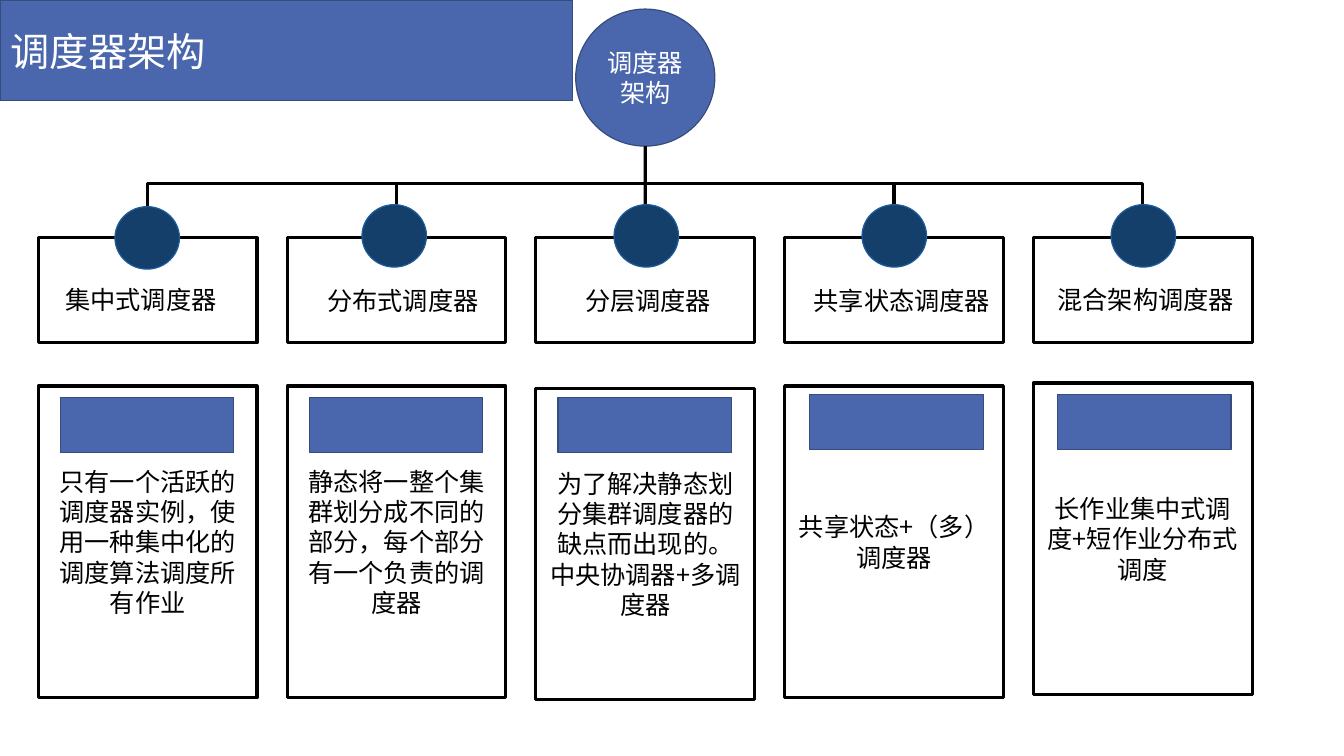
from lxml.etree import SubElement
from pptx import Presentation
from pptx.dml.color import RGBColor
from pptx.enum.shapes import MSO_CONNECTOR as Link, MSO_SHAPE as Shape
from pptx.enum.text import MSO_ANCHOR as Anchor, MSO_AUTO_SIZE as AutoSize, PP_ALIGN as Align
from pptx.oxml.ns import qn
from pptx.util import Inches, Pt

# Content: heading, its left inset, top and width; description; card top; band inset and top
TITLE = "调度器架构"
SCHEDULERS = [
    (("集中式调度器", 0.17, 2.77, 1.83),
     "只有一个活跃的调度器实例，使用一种集中化的调度算法调度所有作业", 3.83, (0.22, 3.94)),
    (("分布式调度器", 0.3, 2.78, 1.75),
     "静态将一整个集群划分成不同的部分，每个部分有一个负责的调度器", 3.83, (0.22, 3.94)),
    (("分层调度器", 0.39, 2.78, 1.57),
     "为了解决静态划分集群调度器的缺点而出现的。中央协调器+多调度器", 3.85, (0.22, 3.94)),
    (("共享状态调度器", 0.19, 2.78, 2.26),
     "共享状态+（多）调度器", 3.83, (0.25, 3.91)),
    (("混合架构调度器", 0.14, 2.77, 2.26),
     "长作业集中式调度+短作业分布式调度", 3.8, (0.24, 3.91)),
]
KNOBS = [(1.14, 2.05), (3.59, 2.03), (6.09, 2.03), (8.55, 2.03), (11.02, 2.03)]
COLORS = {"blue": "4A66AC", "blue_edge": "374B7F", "navy": "143F6A",
          "navy_edge": "1E5E9E", "black": "000000", "white": "FFFFFF"}
CJK, LATIN = "Noto Sans CJK SC", "Calibri"

# Grid, in inches
LEFT, PITCH, CARD_W = 0.38, 2.4675, 2.17
HEAD_TOP, HEAD_H, CARD_H = 2.36, 1.04, 3.09
ROOT_TOP, ROOT_W, ROOT_H = 0.09, 1.38, 1.36
ROOT_BOTTOM, BUS_Y = ROOT_TOP + ROOT_H, 1.82
lefts = [LEFT + column * PITCH for column in range(len(SCHEDULERS))]
centers = [left + CARD_W / 2 for left in lefts]
middle = len(SCHEDULERS) // 2
root_x = centers[middle]


def color(name):
    return RGBColor.from_string(COLORS[name])


def paint(shape, fill, edge, width):
    shape.fill.solid()
    shape.fill.fore_color.rgb = color(fill)
    shape.line.color.rgb = color(edge)
    shape.line.width = Pt(width)
    shape.shadow.inherit = False


def draw(kind, left, top, width, height, fill="white", edge="black", line=2.25):
    shape = slide.shapes.add_shape(kind, *map(Inches, (left, top, width, height)))
    paint(shape, fill, edge, line)
    return shape


def write(shape, text, size=18, font=CJK, ink="black", align=Align.CENTER):
    frame = shape.text_frame
    frame.word_wrap = True
    frame.text = text
    paragraph = frame.paragraphs[0]
    paragraph.alignment = align
    paragraph.font.size = Pt(size)
    paragraph.font.name = font
    paragraph.font.color.rgb = color(ink)
    if font == CJK:
        run_style = paragraph.runs[0].font
        run_style.name = font
        SubElement(run_style._element, qn("a:ea"), typeface=font)


def connect(kind, *ends):
    link = slide.shapes.add_connector(kind, *map(Inches, ends))
    link.line.color.rgb = color("black")
    link.line.width = Pt(2.25)
    SubElement(link._element.spPr, qn("a:effectLst"))
    return link


def branch(target_x):
    """Elbow from the root down to a heading, turned a quarter so it leaves vertically."""
    drop, shift = HEAD_TOP - ROOT_BOTTOM, target_x - root_x
    mid_x, mid_y = (root_x + target_x) / 2, (ROOT_BOTTOM + HEAD_TOP) / 2
    link = connect(Link.ELBOW, mid_x - drop / 2, mid_y + shift / 2,
                   mid_x + drop / 2, mid_y - shift / 2)
    properties = link._element.spPr
    properties.find(qn("a:xfrm")).set("rot", str(90 * 60000))
    bend = round((BUS_Y - ROOT_BOTTOM) / drop * 100000)
    adjustments = properties.find(qn("a:prstGeom")).find(qn("a:avLst"))
    SubElement(adjustments, qn("a:gd"), name="adj1", fmla=f"val {bend}")


presentation = Presentation()
presentation.slide_width, presentation.slide_height = Inches(13.33), Inches(7.5)
slide = presentation.slides.add_slide(presentation.slide_layouts[5])

# Title bar
title = slide.shapes.title
title.left, title.top, title.width, title.height = map(Inches, (0, 0, 5.68, 1))
paint(title, "blue", "blue_edge", 0.85)
write(title, TITLE, 28, LATIN, "white", Align.LEFT)
title.text_frame.vertical_anchor = Anchor.MIDDLE

# Root and heading boxes
root = draw(Shape.OVAL, root_x - ROOT_W / 2, ROOT_TOP, ROOT_W, ROOT_H, "blue", "blue_edge", 0.85)
write(root, TITLE, font=LATIN, ink="white")
headings = [draw(Shape.RECTANGLE, left, HEAD_TOP, CARD_W, HEAD_H) for left in lefts]

# Tree lines
trunk = connect(Link.STRAIGHT, root_x, ROOT_BOTTOM, root_x, HEAD_TOP)
trunk.end_connect(headings[middle], 0)
for column, center in enumerate(centers):
    if column != middle:
        branch(center)

# Knobs, headings and description cards
for left, knob, scheduler in zip(lefts, KNOBS, SCHEDULERS):
    (heading, inset, top, width), description, card_top, (band_inset, band_top) = scheduler
    draw(Shape.OVAL, *knob, 0.64, 0.62, "navy", "navy_edge", 0.85)
    label = slide.shapes.add_textbox(*map(Inches, (left + inset, top, width, 0.4)))
    write(label, heading, align=Align.LEFT)
    label.text_frame.auto_size = AutoSize.SHAPE_TO_FIT_TEXT
    card = draw(Shape.RECTANGLE, left, card_top, CARD_W, CARD_H)
    write(card, description)
    draw(Shape.RECTANGLE, left + band_inset, band_top, 1.72, 0.55, "blue", "blue_edge", 0.85)

presentation.save("out.pptx")
